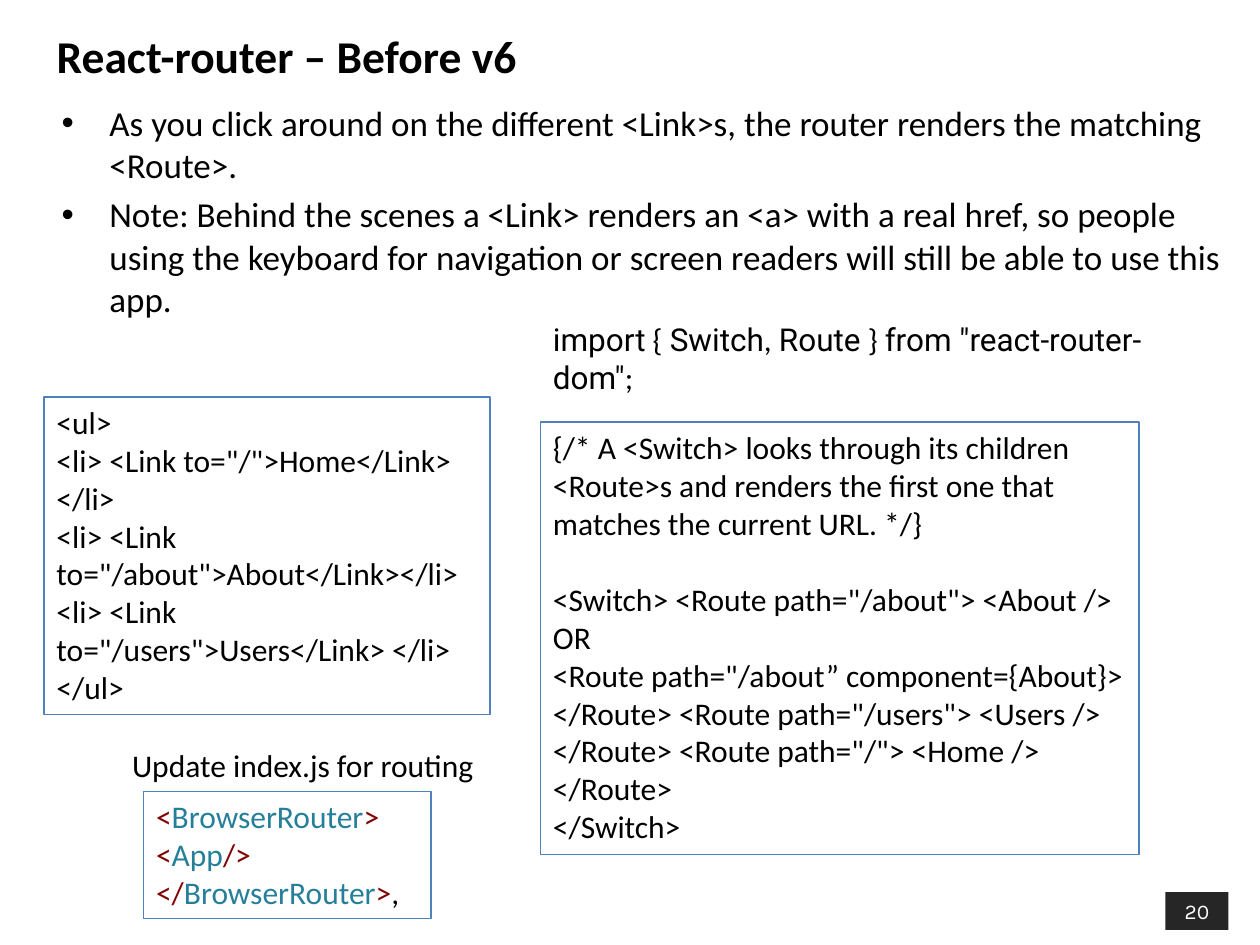
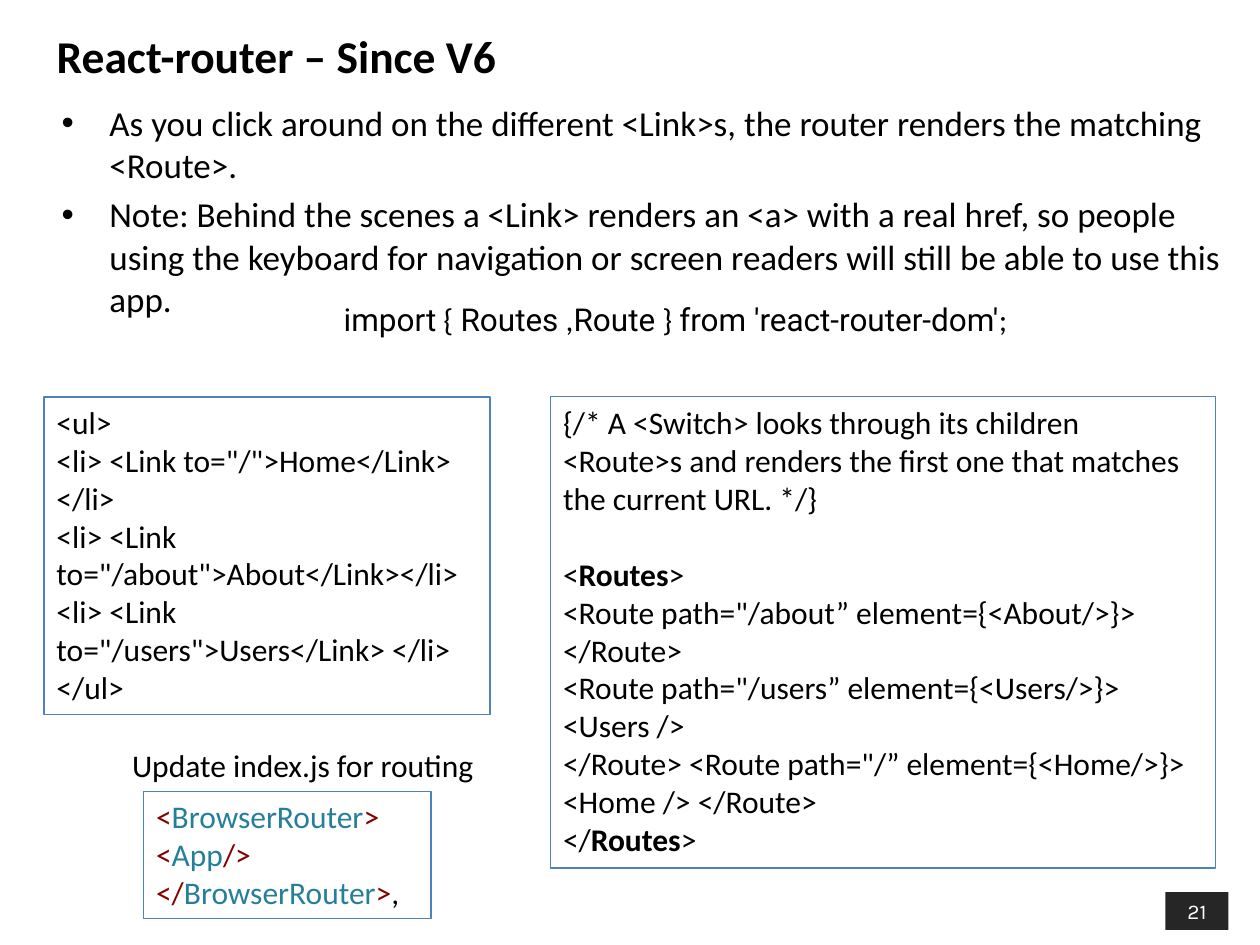
from dataclasses import dataclass

from lxml.etree import SubElement
from pptx import Presentation
from pptx.dml.color import RGBColor
from pptx.enum.shapes import MSO_SHAPE
from pptx.enum.text import MSO_ANCHOR as Anchor, MSO_AUTO_SIZE as AutoSize, PP_ALIGN as Align
from pptx.oxml.ns import qn
from pptx.util import Inches, Pt

COLUMNS, ROWS = 100, 75
TITLE_ONLY = 5


@dataclass(frozen=True)
class Theme:
    ink: str = "000000"
    paper: str = "FFFFFF"
    badge: str = "262626"
    border: str = "4F81BD"
    bracket: str = "800000"
    component: str = "267F99"
    text_font: str = "Calibri"
    code_font: str = "Roboto"
    number_font: str = "Karla"
    title_size: int = 26
    body_size: int = 20
    code_size: int = 18
    number_size: int = 12
    border_width: float = 0.75
    code_gap: int = 22
    bullet_gap: int = 4
    bullet_indent: float = 0.38


THEME = Theme()


def write_text(shape, paragraphs, size=THEME.code_size, font=THEME.text_font, color=THEME.ink,
               bold=False, align=Align.LEFT, anchor=Anchor.TOP, wrap=True, grow=True, gaps=None):
    frame = shape.text_frame
    frame.word_wrap = wrap
    frame.auto_size = AutoSize.SHAPE_TO_FIT_TEXT if grow else AutoSize.NONE
    frame.vertical_anchor = anchor
    for index, runs in enumerate(paragraphs):
        paragraph = frame.paragraphs[0] if index == 0 else frame.add_paragraph()
        paragraph.alignment = align
        paragraph.space_before = Pt((gaps or {}).get(index, 0))
        for words, style in ([(runs, {})] if isinstance(runs, str) else runs):
            for line_index, line in enumerate(words.split("\n")):
                if line_index:
                    paragraph.add_line_break()
                run = paragraph.add_run()
                run.text = line
                run.font.size = Pt(size)
                run.font.name = style.get("font", font)
                run.font.bold = style.get("bold", bold)
                run.font.color.rgb = RGBColor.from_string(style.get("color", color))


class Deck:
    def __init__(self, theme):
        self.theme = theme
        self.presentation = Presentation()
        self.presentation.slide_width = Inches(10)
        self.presentation.slide_height = Inches(7.5)
        self.slide = None

    def area(self, column, row, columns, rows):
        across = self.presentation.slide_width / COLUMNS
        down = self.presentation.slide_height / ROWS
        return [round(length) for length in (column * across, row * down, columns * across, rows * down)]

    def start_slide(self, title, number):
        layout = self.presentation.slide_layouts[TITLE_ONLY]
        self.slide = self.presentation.slides.add_slide(layout)
        badge = self.rectangle((92.5, 70.8, 5, 3), fill=self.theme.badge)
        write_text(badge, [str(number)], size=self.theme.number_size, font=self.theme.number_font,
                   color=self.theme.paper, align=Align.CENTER, anchor=Anchor.MIDDLE, grow=False)
        heading = self.slide.shapes.title
        heading.left, heading.top, heading.width, heading.height = self.area(3.5, 0.5, 83.5, 7.8)
        write_text(heading, [title], size=self.theme.title_size, bold=True,
                   anchor=Anchor.MIDDLE, grow=False)

    def rectangle(self, place, fill=None, line=None):
        shape = self.slide.shapes.add_shape(MSO_SHAPE.RECTANGLE, *self.area(*place))
        shape.shadow.inherit = False
        if fill:
            shape.fill.solid()
            shape.fill.fore_color.rgb = RGBColor.from_string(fill)
        else:
            shape.fill.background()
        if line:
            shape.line.color.rgb = RGBColor.from_string(line)
            shape.line.width = Pt(self.theme.border_width)
        else:
            shape.line.fill.background()
        return shape

    def code_box(self, place, paragraphs, gaps=None):
        write_text(self.rectangle(place, line=self.theme.border), paragraphs, gaps=gaps)

    def label(self, place, paragraphs, **style):
        box = self.slide.shapes.add_textbox(*self.area(*place))
        write_text(box, paragraphs, **style)
        return box

    def bullets(self, place, points):
        gaps = dict.fromkeys(range(len(points)), self.theme.bullet_gap)
        box = self.label(place, points, size=self.theme.body_size, grow=False, gaps=gaps)
        indent = Inches(self.theme.bullet_indent)
        for paragraph in box.text_frame.paragraphs:
            properties = paragraph._p.get_or_add_pPr()
            properties.set("marL", str(indent))
            properties.set("indent", str(-indent))
            SubElement(properties, qn("a:buFont")).set("typeface", "Arial")
            SubElement(properties, qn("a:buChar")).set("char", "•")

    def import_line(self, place, parts):
        fonts = (self.theme.code_font, self.theme.text_font)
        runs = [(part, {"font": fonts[index % 2]}) for index, part in enumerate(parts)]
        self.label(place, [runs])


BRACKET = {"color": THEME.bracket}
COMPONENT = {"color": THEME.component}
BOLD = {"bold": True}

POINTS = [
    "As you click around on the different <Link>s, the router renders the matching <Route>.",
    "Note: Behind the scenes a <Link> renders an <a> with a real href, so people using the "
    "keyboard for navigation or screen readers will still be able to use this app.",
]
LINK_LIST = [
    "<ul>",
    '<li> <Link to="/">Home</Link> </li>',
    '<li> <Link to="/about">About</Link></li> <li> <Link to="/users">Users</Link> </li> </ul>',
]
INDEX_CODE = [
    [("<", BRACKET), ("BrowserRouter", COMPONENT), (">", BRACKET)],
    [("<", BRACKET), ("App", COMPONENT), ("/>", BRACKET)],
    [("</", BRACKET), ("BrowserRouter", COMPONENT), (">", BRACKET), (",", {})],
]
SWITCH_COMMENT = ("{/* A <Switch> looks through its children <Route>s and renders "
                  "the first one that matches the current URL. */}")
SWITCH_CODE = [
    '<Switch> <Route path="/about"> <About /> OR',
    '<Route path="/about” component={About}>',
    '</Route> <Route path="/users"> <Users />',
    '</Route> <Route path="/"> <Home /> </Route>',
    "</Switch>",
]
ROUTES_CODE = [
    [("<", {}), ("Routes", BOLD),
     ('> \n<Route path="/about” element={<About/>}> </Route> '
      '\n<Route path="/users” element={<Users/>}> <Users />', {})],
    '</Route> <Route path="/” element={<Home/>}> <Home /> </Route>',
    [("</", {}), ("Routes", BOLD), (">", {})],
]
ROUTER_SLIDES = [
    ("React-router – Before v6", SWITCH_CODE, (42.9, 33.5, 47.5, 34.3), (42.9, 24.9, 53.5, 4),
     ["import", " { ", "Switch", ", ", "Route", " } ", 'from "react-router-dom"', ";"]),
    ("React-router – Since V6", ROUTES_CODE, (43.7, 31.5, 52.8, 37.4), (26.3, 23.3, 60.7, 4),
     ["import", " { ", "Routes", " ,", "Route", " } ", "from 'react-router-dom'", ";"]),
]


def main():
    deck = Deck(THEME)
    for number, (title, route_code, route_place, import_place, parts) in enumerate(ROUTER_SLIDES, 20):
        deck.start_slide(title, number)
        deck.bullets((3.9, 7.6, 95, 22.8), POINTS)
        deck.code_box((3.5, 31.5, 35.4, 25.2), LINK_LIST)
        deck.code_box(route_place, [SWITCH_COMMENT, *route_code], gaps={1: THEME.code_gap})
        deck.code_box((11.4, 62.8, 22.8, 10.1), INDEX_CODE)
        deck.label((9.5, 58.7, 29.4, 4), ["Update index.js for routing"], wrap=False)
        deck.import_line(import_place, parts)
    deck.presentation.save("out.pptx")


if __name__ == "__main__":
    main()
